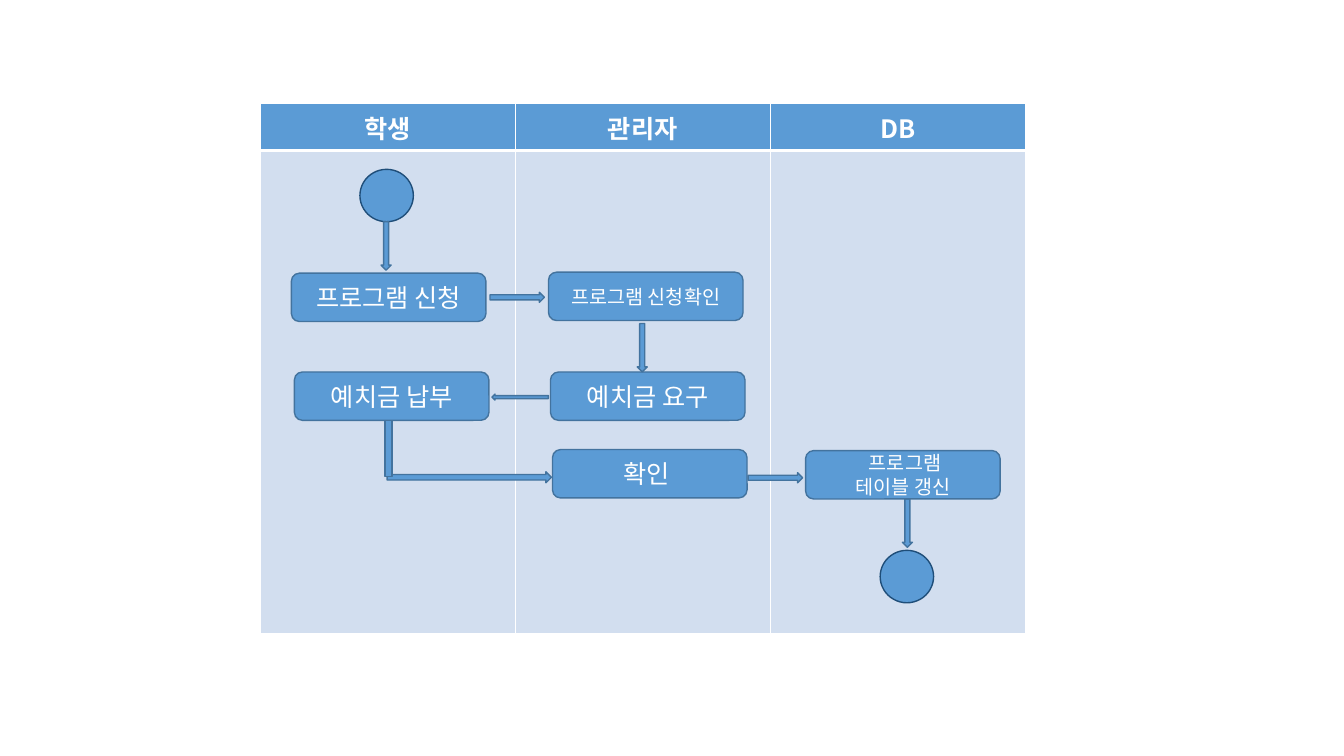
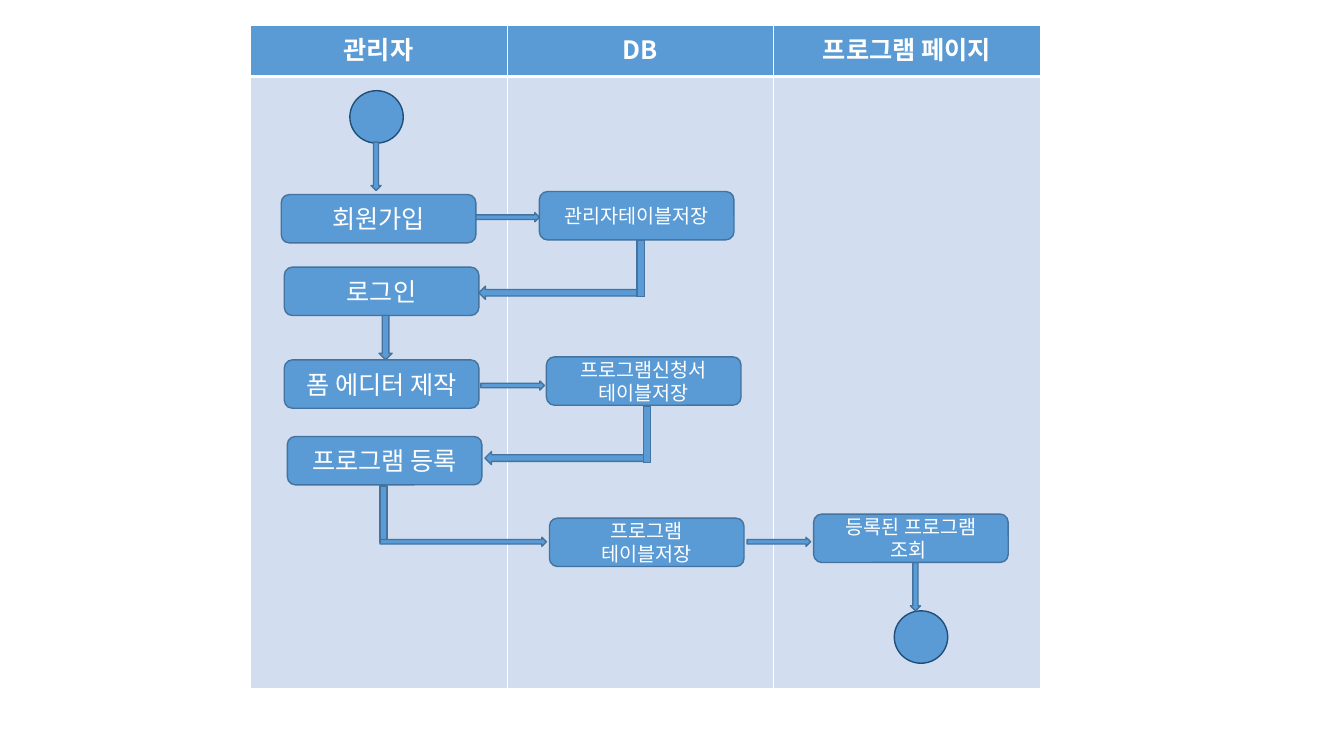
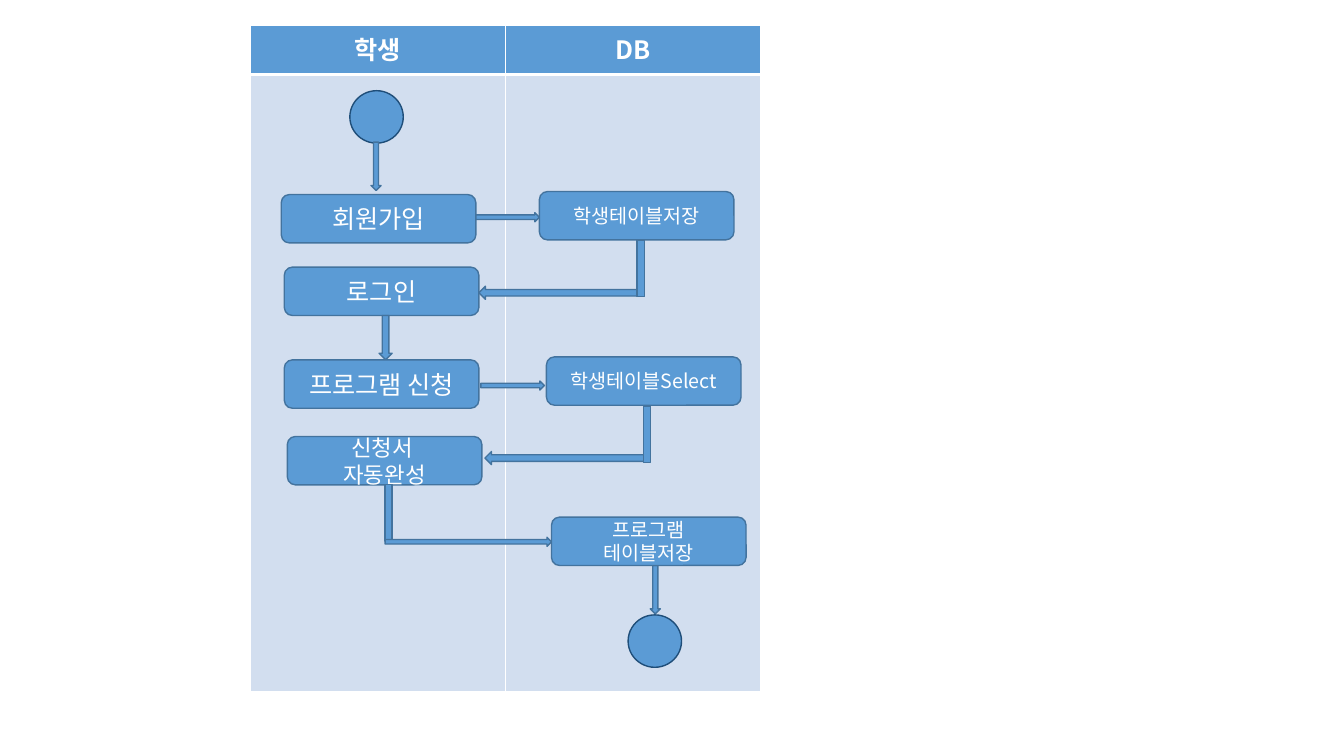
from lxml import etree
from pptx import Presentation
from pptx.dml.color import RGBColor
from pptx.enum.shapes import MSO_SHAPE
from pptx.enum.text import MSO_ANCHOR, PP_ALIGN
from pptx.oxml.ns import qn
from pptx.util import Inches, Pt

COLORS = {
    "blue": "5B9BD5",
    "pale": "D2DEEF",
    "edge": "43739E",
    "dark_edge": "1F4E79",
    "white": "FFFFFF",
}
FONT = "Noto Sans CJK KR"
CENTER = PP_ALIGN.CENTER
MIDDLE = MSO_ANCHOR.MIDDLE
LARGE, MEDIUM, SMALL = 18, 16, 14

# Each kind of part: preset shape, fixed size (None for arrows), outline colour
PARTS = {
    "box": (MSO_SHAPE.ROUNDED_RECTANGLE, (1.93, 0.48), "edge"),
    "dot": (MSO_SHAPE.OVAL, (0.53, 0.52), "dark_edge"),
    "stem": (MSO_SHAPE.RECTANGLE, (0.07, 0.56), "edge"),
    "down": (MSO_SHAPE.DOWN_ARROW, None, "edge"),
    "right": (MSO_SHAPE.RIGHT_ARROW, None, "edge"),
    "left": (MSO_SHAPE.LEFT_ARROW, None, "edge"),
}
BORDER_TAGS = {"left": "a:lnL", "right": "a:lnR", "top": "a:lnT", "bottom": "a:lnB"}

# Parts run from back to front:
# ("box", x, y, text, size), ("dot" or "stem", x, y), (arrow, x, y, length, thickness)
APPLICATION_FLOW = [
    ("dot", 3.57, 1.68),
    ("down", 3.78, 2.2, 0.48, 0.1),
    ("box", 2.89, 2.71, "프로그램 신청", LARGE),
    ("right", 4.86, 2.9, 0.54, 0.1),
    ("box", 5.44, 2.7, "프로그램 신청확인", SMALL),
    ("box", 5.46, 3.69, "예치금 요구", LARGE),
    ("down", 6.32, 3.21, 0.48, 0.1),
    ("right", 7.42, 4.69, 0.54, 0.1),
    ("box", 2.92, 3.69, "예치금 납부", LARGE),
    ("down", 8.95, 4.95, 0.48, 0.1),
    ("dot", 8.73, 5.46),
    ("left", 4.88, 3.91, 0.56, 0.06),
    ("box", 5.48, 4.46, "확인 ", LARGE),
    ("right", 3.84, 4.68, 1.63, 0.11),
    ("stem", 3.82, 4.17),
    ("box", 7.99, 4.47, " 프로그램\n테이블 갱신", SMALL),
]


def member_flow(member_store, request, request_store, result, result_size):
    """Return the sign-up and login steps that administrators and students share."""
    return [
        ("dot", 3.47, 0.9),
        ("down", 3.68, 1.41, 0.48, 0.1),
        ("box", 2.79, 1.93, "회원가입", LARGE),
        ("left", 4.75, 2.84, 1.64, 0.13),
        ("box", 2.82, 2.65, "로그인", LARGE),
        ("right", 4.72, 2.11, 0.63, 0.09),
        ("stem", 6.32, 2.38),
        ("box", 5.35, 1.9, member_store, SMALL),
        ("down", 3.76, 3.13, 0.44, 0.13),
        ("box", 2.82, 3.57, request, LARGE),
        ("right", 4.77, 3.78, 0.63, 0.09),
        ("box", 5.42, 3.54, request_store, SMALL),
        ("left", 4.81, 4.48, 1.64, 0.13),
        ("stem", 6.38, 4.03),
        ("box", 2.85, 4.33, result, result_size),
    ]


ADMIN_FLOW = member_flow("관리자테이블저장", "폼 에디터 제작",
                         "프로그램신청서\n테이블저장", "프로그램 등록", LARGE) + [
    ("dot", 8.87, 6.06),
    ("down", 9.03, 5.58, 0.48, 0.1),
    ("stem", 3.77, 4.82),
    ("right", 3.77, 5.33, 1.65, 0.09),
    ("box", 5.45, 5.14, "프로그램\n테이블저장", SMALL),
    ("right", 7.41, 5.33, 0.63, 0.09),
    ("box", 8.07, 5.1, "등록된 프로그램 조회 ", SMALL),
]
STUDENT_FLOW = member_flow("학생테이블저장", "프로그램 신청",
                           "학생테이블Select", "신청서 \n자동완성", MEDIUM) + [
    ("dot", 6.23, 6.1),
    ("down", 6.45, 5.61, 0.48, 0.1),
    ("stem", 3.82, 4.81),
    ("right", 3.82, 5.33, 1.65, 0.09),
    ("box", 5.47, 5.13, "프로그램\n테이블저장", SMALL),
]

SLIDES = [
    {"lanes": [("학생", 2.53), ("관리자", 2.53), ("DB", 2.53)],
     "corner": (2.58, 1.03), "rows": (0.39, 4.79), "flow": APPLICATION_FLOW},
    {"lanes": [("관리자", 2.55), ("DB", 2.64), ("프로그램 페이지", 2.65)],
     "corner": (2.48, 0.25), "rows": (0.51, 6.07), "flow": ADMIN_FLOW},
    {"lanes": [("학생", 2.53), ("DB", 2.53)],
     "corner": (2.48, 0.25), "rows": (0.49, 6.12), "flow": STUDENT_FLOW},
]


def rgb(name):
    return RGBColor.from_string(COLORS[name])


def paint(target, color):
    target.fill.solid()
    target.fill.fore_color.rgb = rgb(color)


def write(frame, text, size, bold=False):
    """Write centred white lines, with the font set for Korean as well."""
    frame.text = text
    style = {"name": FONT, "size": Pt(size), "bold": bold}
    for para in frame.paragraphs:
        para.alignment = CENTER
        for span in para.runs:
            for key, value in style.items():
                setattr(span.font, key, value)
            span.font.color.rgb = rgb("white")
            east_asian = etree.SubElement(span.font._element, qn("a:ea"))
            east_asian.set("typeface", FONT)


def set_borders(cell, widths):
    properties = cell._tc.get_or_add_tcPr()
    for position, (side, tag) in enumerate(BORDER_TAGS.items()):
        line = etree.Element(qn(tag), w=str(Pt(widths.get(side, 1))))
        fill = etree.SubElement(line, qn("a:solidFill"))
        etree.SubElement(fill, qn("a:srgbClr"), val=COLORS["white"])
        properties.insert(position, line)


def add_lanes(page, lanes, corner, rows):
    width = sum(lane_width for _, lane_width in lanes)
    table = page.shapes.add_table(
        len(rows), len(lanes), *map(Inches, (*corner, width, sum(rows)))).table
    table.horz_banding = False
    for row, height in zip(table.rows, rows):
        row.height = Inches(height)
    for index, (name, lane_width) in enumerate(lanes):
        table.columns[index].width = Inches(lane_width)
        header, body = table.cell(0, index), table.cell(1, index)
        write(header.text_frame, name, LARGE, bold=True)
        paint(header, "blue")
        paint(body, "pale")
        set_borders(header, {"bottom": 3})
        set_borders(body, {"top": 3})


def add_part(page, kind, x, y, *details):
    preset, size, edge = PARTS[kind]
    if size is None:
        length, thickness = details
        size = (thickness, length) if kind == "down" else (length, thickness)
    shape = page.shapes.add_shape(preset, *map(Inches, (x, y, *size)))
    shape.shadow.inherit = False
    paint(shape, "blue")
    shape.line.color.rgb = rgb(edge)
    shape.line.width = Pt(1)
    if kind == "box":
        shape.text_frame.word_wrap = True
        shape.text_frame.vertical_anchor = MIDDLE
        write(shape.text_frame, *details)


def main():
    deck = Presentation()
    deck.slide_width, deck.slide_height = Inches(13.33), Inches(7.5)
    for content in SLIDES:
        page = deck.slides.add_slide(deck.slide_layouts[6])
        add_lanes(page, content["lanes"], content["corner"], content["rows"])
        for part in content["flow"]:
            add_part(page, *part)
    deck.save("out.pptx")


if __name__ == "__main__":
    main()
